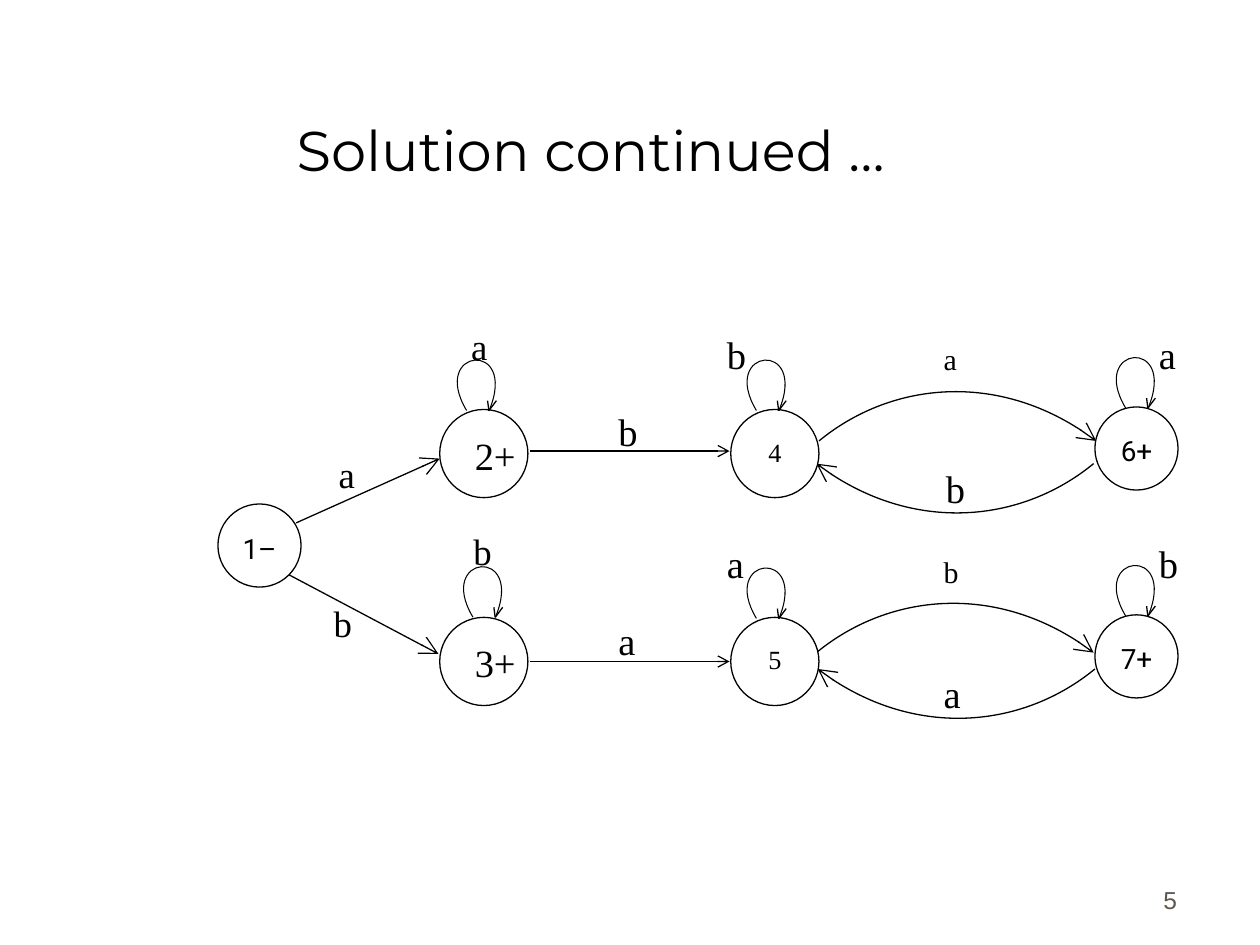
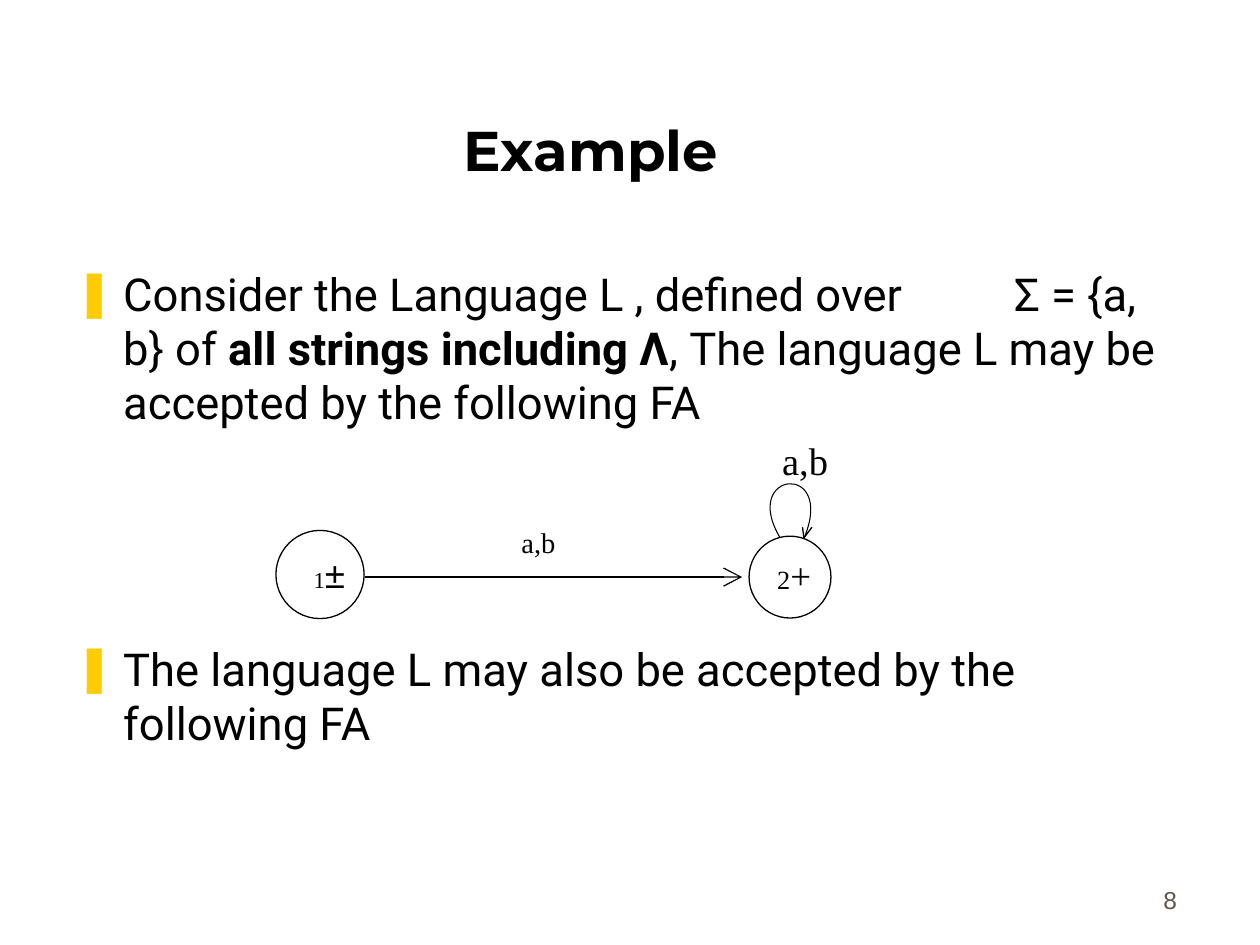
import lxml.etree as etree
import pptx
import pptx.dml.color
import pptx.enum.shapes
import pptx.enum.text
import pptx.oxml.ns
import pptx.util

Inches, Pt = pptx.util.Inches, pptx.util.Pt
qn = pptx.oxml.ns.qn
Align = pptx.enum.text.PP_ALIGN
Anchor = pptx.enum.text.MSO_ANCHOR
COLOR = {"ink": "000000", "paper": "FFFFFF", "page": "5E574E", "mark": "FFCC00"}
FONT = {"head": "Montserrat", "body": "Roboto", "math": "Times New Roman", "foot": "Arial"}
MARGIN = (0.1, 0.05, 0.1, 0.05)

# Columns and rows of the automaton: centres of the states
COL = {"start": 2.06, "first": 3.84, "mid": 6.15, "last": 9.02}
ROW = {"top": 3.6, "low": 5.25}
BIG, SMALL = 0.7, 0.66

# Curves, as four control points: the loop around its middle, the arc from its start
LOOP = [(-0.01, 0.3), (-0.35, -0.17), (0.35, -0.3), (0.17, 0.28)]
LOOP_MID = (-0.14, -0.3)  # from the tip of the loop
LOOP_TURN = 5
BARBS = [(0.06, -0.08), (-0.01, -0.08)]
ARC = [(0, 0), (0.56, -0.46), (1.47, -0.56), (2.2, 0)]

# Each state: centre x, y, diameter
# Each label: x, y, text runs (text, size, font)
# Each arrow: from, to, head size
SLIDES = [
    {
        "title": "Solution continued …", "bold": False, "page": "5", "body": [],
        "states": [
            (COL["start"], 4.33, SMALL),
            (COL["first"], ROW["top"], BIG), (COL["first"], ROW["low"], BIG),
            (COL["mid"], ROW["top"], BIG), (COL["mid"], ROW["low"], BIG),
            (COL["last"], 3.56, SMALL), (COL["last"], 5.21, SMALL),
        ],
        "arrows": [
            ((2.35, 4.15), (3.49, 3.64), "lg"), ((2.29, 4.56), (3.48, 5.19), "lg"),
            ((4.21, 3.58), (5.79, 3.58), "med"), ((4.21, 5.25), (5.79, 5.25), "med"),
        ],
        # Start point and direction: 1 over to the right, -1 back below
        "arcs": [(6.5, 3.5, 1), (8.68, 3.68, -1), (6.48, 5.18, 1), (8.69, 5.31, -1)],
        # Tip and scale
        "loops": [
            (3.88, 3.26, 1), (3.93, 4.9, 1), (6.18, 3.26, 1),
            (6.18, 4.91, 1), (9.11, 3.24, 1), (9.11, 4.89, 1),
        ],
        "names": [
            (COL["start"], 4.17, "1–", 16, "body"),
            (COL["mid"], 3.41, "4", 15, "math"), (COL["mid"], 5.06, "5", 15, "math"),
            (COL["last"], 3.39, "6+", 16, "body"), (COL["last"], 5.04, "7+", 16, "body"),
        ],
        "labels": [
            (3.67, 3.38, [("2+", 22, "math")]), (3.67, 5.02, [("3+", 22, "math")]),
            (2.59, 3.54, [("a", 21, "math")]), (2.55, 4.72, [("b", 21, "math")]),
            (3.64, 2.52, [("a", 21, "math")]), (3.66, 4.15, [("b", 21, "math")]),
            (4.81, 3.19, [("b", 22, "math")]), (4.81, 4.85, [("a", 22, "math")]),
            (5.67, 2.58, [("b", 22, "math")]), (5.67, 4.24, [("a", 22, "math")]),
            (7.41, 3.64, [("b", 22, "math")]), (7.39, 5.27, [("a", 22, "math")]),
            (9.1, 2.58, [("a", 22, "math")]), (9.1, 4.24, [("b", 22, "math")]),
        ],
        "tight": [(7.39, 2.71, [("a", 17.1, "math")]), (7.39, 4.4, [("b", 17.1, "math")])],
    },
    {
        "title": "Example", "bold": True, "page": "8",
        # Each paragraph: space before, runs (text, bold)
        "body": [
            (0, [("Consider the Language L , defined over \tΣ = {a, b} of ", False),
                 ("all strings including Λ", True),
                 (", The language L may be accepted by the following FA", False)]),
            (121, [("The language L may also be accepted by the following FA", False)]),
        ],
        "states": [(2.54, 4.56, BIG), (6.27, 4.58, 0.65)],
        "arrows": [((2.9, 4.58), (5.89, 4.58), "lg")],
        "arcs": [],
        "loops": [(6.38, 4.27, 1.07)],
        "names": [],
        "labels": [
            (6.11, 3.42, [("a,b", 22, "math")]),
            (6.07, 4.34, [("2", 15, "math"), ("+", 21, "math")]),
            (2.39, 4.33, [("1", 13, "math"), ("±", 21, "foot")]),
        ],
        "tight": [(4.04, 4.17, [("a,b", 16.3, "math")])],
    },
]


def paint(name):
    return pptx.dml.color.RGBColor.from_string(COLOR[name])


def add_run(para, text, size, font, color="ink", bold=False):
    run = para.add_run()
    run.text = text
    run.font.size, run.font.name, run.font.bold = Pt(size), FONT[font], bold
    run.font.color.rgb = paint(color)


def set_frame(shape, margin=MARGIN, anchor=Anchor.TOP):
    frame = shape.text_frame
    frame.word_wrap = True
    frame.auto_size = pptx.enum.text.MSO_AUTO_SIZE.NONE
    frame.vertical_anchor = anchor
    (frame.margin_left, frame.margin_top,
     frame.margin_right, frame.margin_bottom) = map(Inches, margin)
    return frame


def add_box(slide, x, y, w, h, anchor=Anchor.TOP):
    box = slide.shapes.add_textbox(*map(Inches, (x, y, w, h)))
    return set_frame(box, anchor=anchor)


def add_label(slide, x, y, runs, wide=0.84, align=Align.LEFT, pitch=None):
    para = add_box(slide, x, y, wide, 0.5).paragraphs[0]
    para.alignment = align
    if pitch:
        para.line_spacing = pitch
    for text, size, font in runs:
        add_run(para, text, size, font)


def set_line(shape, width=0.75, head=None):
    shape.line.color.rgb = paint("ink")
    shape.line.width = Pt(width)
    if head:
        etree.SubElement(shape.line._get_or_add_ln(), qn("a:tailEnd"),
                         type="arrow", w=head, len=head)


def add_line(slide, start, end, head=None):
    kind = pptx.enum.shapes.MSO_CONNECTOR.STRAIGHT
    line = slide.shapes.add_connector(kind, *map(Inches, start + end))
    set_line(line, head=head)
    etree.SubElement(line._element.spPr, qn("a:effectLst"))


def add_curve(slide, x, y, points, scale, width=0.75, head=None):
    """Draw one cubic curve from its control points around (x, y)."""
    dots = [(Inches(x + dx * scale), Inches(y + dy * scale)) for dx, dy in points]
    pen = slide.shapes.build_freeform(*dots[0])
    pen.add_line_segments(dots[1:], close=False)
    curve = pen.convert_to_shape()
    # Turn the three straight segments into one curve
    route = next(curve._element.iter(qn("a:path")))
    bend = etree.SubElement(route, qn("a:cubicBezTo"))
    for leg in route.findall(qn("a:lnTo")):
        bend.append(leg[0])
        route.remove(leg)
    curve.fill.background()
    curve.shadow.inherit = False
    set_line(curve, width, head)
    return curve


def add_state(slide, x, y, size):
    oval = slide.shapes.add_shape(
        pptx.enum.shapes.MSO_SHAPE.OVAL,
        *map(Inches, (x - size / 2, y - size / 2, size, size)))
    oval.fill.solid()
    oval.fill.fore_color.rgb = paint("paper")
    oval.shadow.inherit = False
    set_line(oval)


def add_loop(slide, x, y, scale):
    mid = (x + LOOP_MID[0] * scale, y + LOOP_MID[1] * scale)
    add_curve(slide, *mid, LOOP, scale, 0.6).rotation = LOOP_TURN
    for dx, dy in BARBS:
        add_line(slide, (x + dx * scale, y + dy * scale), (x, y))


def add_body(slide, paras):
    frame = add_box(slide, 0.5, 2.06, 8.94, 4.56)
    for i, (gap, runs) in enumerate(paras):
        para = frame.add_paragraph() if i else frame.paragraphs[0]
        para.space_before = Pt(gap)
        props = para._p.get_or_add_pPr()
        props.set("marL", str(Inches(0.38)))
        props.set("indent", str(-Inches(0.38)))
        tint = etree.SubElement(props, qn("a:buClr"))
        etree.SubElement(tint, qn("a:srgbClr"), val=COLOR["mark"])
        etree.SubElement(props, qn("a:buFont"), typeface=FONT["body"])
        etree.SubElement(props, qn("a:buChar"), char="❚")
        tabs = etree.SubElement(props, qn("a:tabLst"))
        etree.SubElement(tabs, qn("a:tab"), pos=str(Inches(7.45)), algn="l")
        for text, bold in runs:
            add_run(para, text, 25.9, "body", bold=bold)


def add_frame(slide, data):
    # Title and page number
    title = slide.shapes.title
    title.left, title.top, title.width, title.height = map(Inches, (0.44, 0.25, 8.5, 1.25))
    para = set_frame(title, anchor=Anchor.BOTTOM).paragraphs[0]
    para.alignment = Align.CENTER
    add_run(para, data["title"], 32, "head", bold=data["bold"])
    para = add_box(slide, 7.36, 6.81, 2.08, 0.5, Anchor.BOTTOM).paragraphs[0]
    para.alignment = Align.RIGHT
    add_run(para, data["page"], 14, "foot", "page")


def add_graph(slide, data):
    # Edges lie under the states, text on top
    for x, y, way in data["arcs"]:
        add_curve(slide, x, y, ARC, way, head="lg")
    for start, end, head in data["arrows"]:
        add_line(slide, start, end, head)
    for state in data["states"]:
        add_state(slide, *state)
    for loop in data["loops"]:
        add_loop(slide, *loop)
    for x, y, *run in data["names"]:
        add_label(slide, x - 0.46, y, [run], 0.92, Align.CENTER)
    for label in data["labels"]:
        add_label(slide, *label)
    for label in data["tight"]:
        add_label(slide, *label, pitch=0.8)


def main():
    deck = pptx.Presentation()
    deck.slide_width, deck.slide_height = Inches(10), Inches(7.5)
    for data in SLIDES:
        slide = deck.slides.add_slide(deck.slide_layouts[5])
        add_frame(slide, data)
        if data["body"]:
            add_body(slide, data["body"])
        add_graph(slide, data)
    deck.save("out.pptx")


if __name__ == "__main__":
    main()
